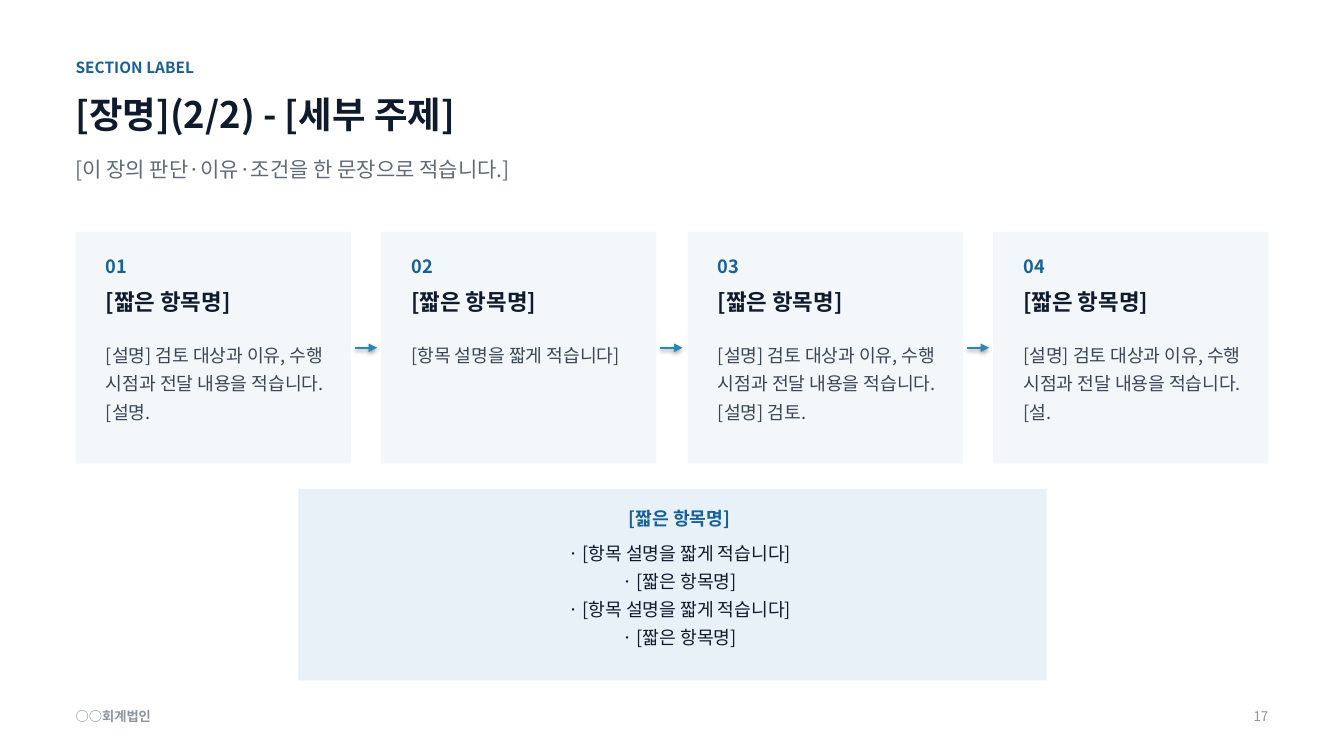
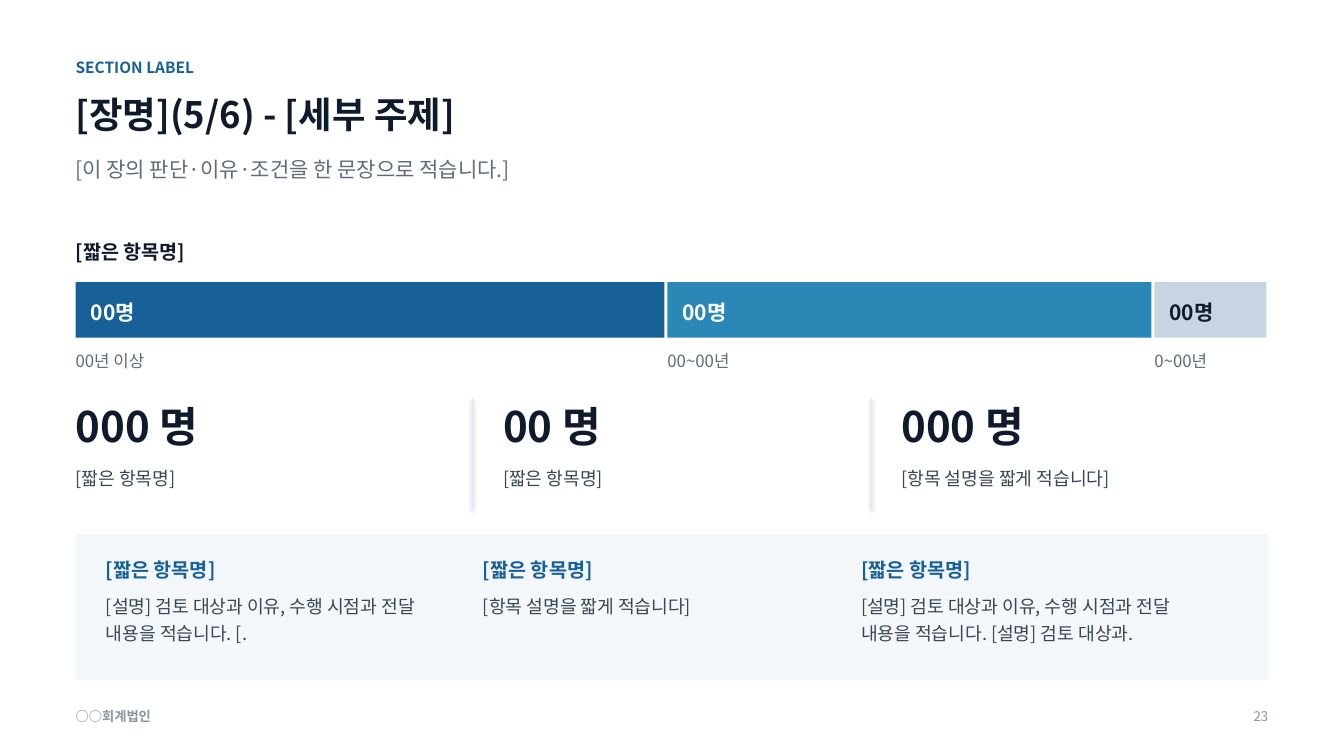
from lxml import etree
from pptx import Presentation, util as u
from pptx.dml.color import RGBColor
from pptx.enum import shapes, text
from pptx.oxml.ns import qn

SCALE = 9144  # EMU per px, 100 px to the inch
LEFT, WIDTH, PAD = 75, 1183, 30
FONT = "Noto Sans CJK KR"
COLORS = {
    "ink": "0F1B2D", "body": "394656", "muted": "5F6B7A", "footer": "8A94A3",
    "navy": "176098", "blue": "2B88B6", "steel": "C7D5E3", "rule": "DFE6EE",
    "panel": "F4F7FA", "tint": "E8F1F8", "white": "FFFFFF",
}
ALIGN = {"l": text.PP_ALIGN.LEFT, "c": text.PP_ALIGN.CENTER, "r": text.PP_ALIGN.RIGHT}
ITEM = "[짧은 항목명]"
NOTE = "[항목 설명을 짧게 적습니다]"
DETAIL = "[설명] 검토 대상과 이유, 수행 시점과 전달 내용을 적습니다. "


def px(n):
    return u.Emu(round(n) * SCALE)


def rgb(name):
    return RGBColor.from_string(COLORS[name])


def write(tf, content, size=13, color="body", bold=False, align="l",
          spacing=1.15, after=0, middle=False):
    """Fill a text frame; each line of content becomes a paragraph."""
    tf.word_wrap = True
    tf.auto_size = text.MSO_AUTO_SIZE.NONE
    tf.margin_left = tf.margin_right = tf.margin_top = tf.margin_bottom = 0
    tf.vertical_anchor = text.MSO_ANCHOR.MIDDLE if middle else text.MSO_ANCHOR.TOP
    for i, line in enumerate(content.split("\n")):
        p = tf.add_paragraph() if i else tf.paragraphs[0]
        p.alignment = ALIGN[align]
        p.line_spacing = spacing
        p.space_before, p.space_after = u.Pt(0), u.Pt(after)
        r = p.add_run()
        r.text = line
        r.font.name, r.font.size, r.font.bold = FONT, u.Pt(size), bold
        r.font.color.rgb = rgb(color)
        # East Asian typeface
        etree.SubElement(r.font._element, qn("a:ea"), typeface=FONT)


class Deck:
    def __init__(self):
        self.prs = Presentation()
        self.prs.slide_width, self.prs.slide_height = u.Inches(13.33), u.Inches(7.5)
        self.s = None

    def slide(self, title, number):
        """Start a slide with its heading and footer."""
        self.s = self.prs.slides.add_slide(self.prs.slide_layouts[5])
        self.s.background.fill.solid()
        self.s.background.fill.fore_color.rgb = rgb("white")
        self.text("SECTION LABEL", LEFT, 55, 900, 25, size=11, color="navy", bold=True)
        sp = self.s.shapes.title
        sp.left, sp.top, sp.width, sp.height = px(LEFT), px(85), px(WIDTH), px(60)
        write(sp.text_frame, title, size=26, color="ink", bold=True)
        self.text("[이 장의 판단·이유·조건을 한 문장으로 적습니다.]",
                  LEFT, 152, WIDTH, 63, size=15, color="muted")
        self.text("○○회계법인", LEFT, 700, 600, 22, size=9.5, color="footer", bold=True)
        self.text(number, LEFT + WIDTH - 100, 700, 100, 22,
                  size=9.5, color="footer", align="r")

    def text(self, content, x, y, w, h, **fmt):
        sp = self.s.shapes.add_textbox(px(x), px(y), px(w), px(h))
        write(sp.text_frame, content, **fmt)

    def box(self, x, y, w, h, color):
        sp = self.s.shapes.add_shape(shapes.MSO_SHAPE.RECTANGLE,
                                     px(x), px(y), px(w), px(h))
        sp.shadow.inherit = False
        sp.fill.solid()
        sp.fill.fore_color.rgb = rgb(color)
        sp.line.fill.background()

    def line(self, x1, y1, x2, y2, color, width, arrow=False):
        """Draw a line that keeps the theme's soft shadow."""
        cx = self.s.shapes.add_connector(shapes.MSO_CONNECTOR.STRAIGHT,
                                         px(x1), px(y1), px(x2), px(y2))
        cx.line.color.rgb = rgb(color)
        cx.line.width = u.Pt(width)
        if arrow:
            etree.SubElement(cx.line._get_or_add_ln(), qn("a:tailEnd"), type="triangle")


def process_slide(d):
    d.slide("[장명](2/2) - [세부 주제]", "17")

    # Step cards joined by arrows
    steps = [DETAIL + "[설명.", NOTE, DETAIL + "[설명] 검토.", DETAIL + "[설."]
    card_w = 273
    pitch = (WIDTH - card_w) / (len(steps) - 1)
    for i, detail in enumerate(steps):
        x = LEFT + i * pitch
        d.box(x, 230, card_w, 230, "panel")
        d.text(f"{i + 1:02}", x + PAD, 250, 100, 30, color="navy", bold=True)
        d.text(ITEM, x + PAD, 282, 223, 52, size=16, color="ink", bold=True)
        d.text(detail, x + PAD, 335, 218, 120, spacing=1.3)
        if i < len(steps) - 1:
            end = x + card_w
            d.line(end + 4, 345, end + 26, 345, "blue", 1.5, arrow=True)

    # Summary panel
    d.box(296, 485, 742, 190, "tint")
    d.text(ITEM, 110, 500, 1128, 30, color="navy", bold=True, align="c")
    d.text("\n".join([f"· {NOTE}", f"· {ITEM}"] * 2), 110, 535, 1128, 135,
           color="ink", align="c", after=2)


def headcount_slide(d):
    d.slide("[장명](5/6) - [세부 주제]", "23")

    # Segmented bar
    d.text(ITEM, LEFT, 235, 600, 30, size=14, color="ink", bold=True)
    x, gap = LEFT, 3
    for label, w, fill, color in [("00년 이상", 584, "navy", "white"),
                                  ("00~00년", 480, "blue", "white"),
                                  ("0~00년", 111, "steel", "ink")]:
        d.box(x, 280, w, 55, fill)
        d.text("00명", x + 15, 280, w - 17, 55, size=15, color=color,
               bold=True, middle=True)
        d.text(label, x, 345, w + gap, 30, size=12, color="muted")
        x += w + gap

    # Key figures between dividers
    for i, (figure, label) in enumerate([("000 명", ITEM), ("00 명", ITEM),
                                         ("000 명", NOTE)]):
        x = LEFT + i * WIDTH / 3
        if i:
            d.line(x, 395, x, 505, "rule", 0.75)
            x += PAD
        d.text(figure, x, 390, 354, 60, size=30, color="ink", bold=True)
        d.text(label, x, 460, 354, 30)

    # Notes panel
    d.box(LEFT, 530, WIDTH, 145, "panel")
    for i, note in enumerate([DETAIL + "[.", NOTE, DETAIL + "[설명] 검토 대상과."]):
        x = LEFT + PAD + i * (WIDTH - 2 * PAD) / 3
        d.text(ITEM, x, 550, 344, 30, size=14, color="navy", bold=True)
        d.text(note, x, 585, 339, 80, spacing=1.25)


def main():
    d = Deck()
    process_slide(d)
    headcount_slide(d)
    d.prs.save("out.pptx")


if __name__ == "__main__":
    main()
